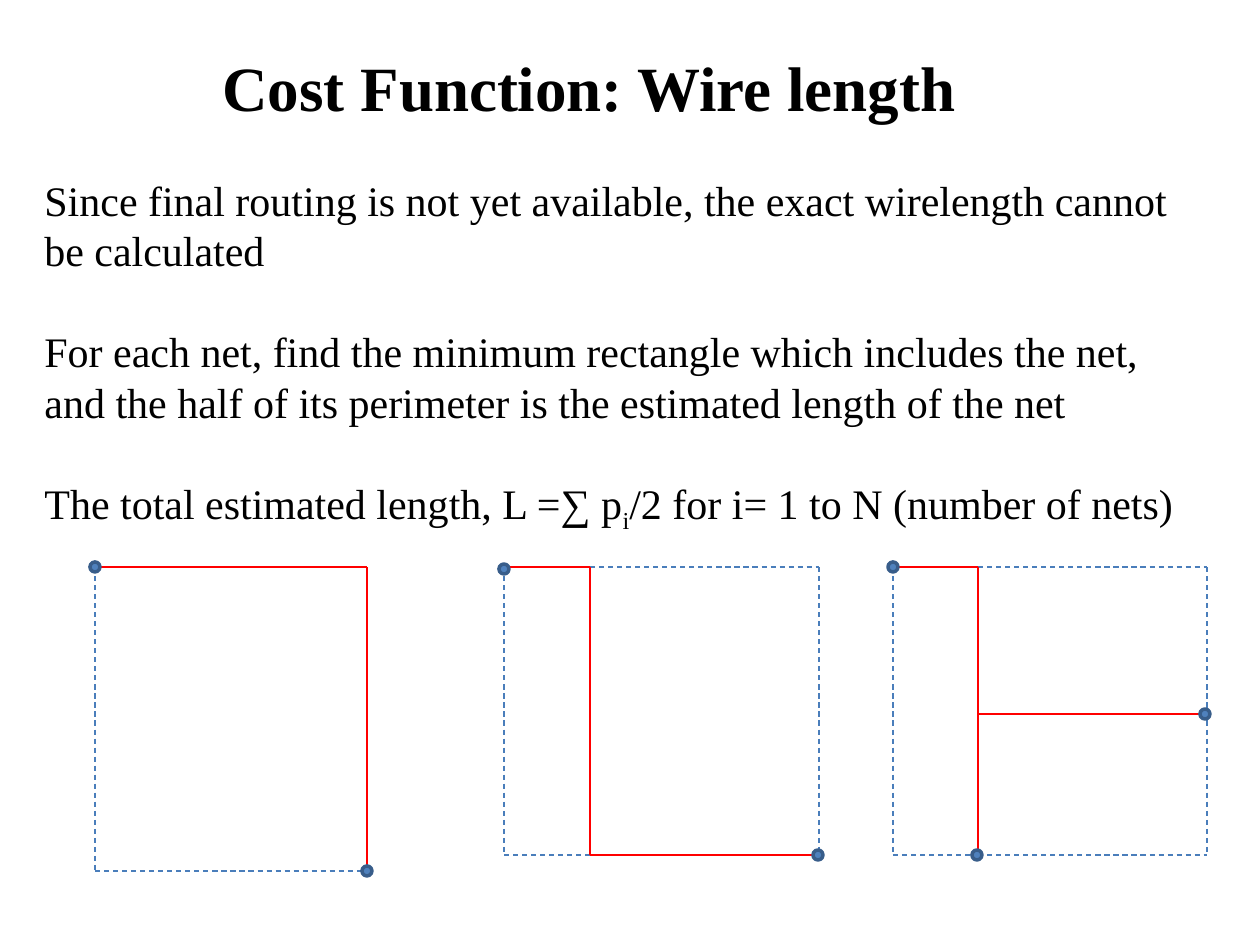
import pptx
import pptx.util
import pptx.dml.color
import pptx.enum.dml
import pptx.enum.shapes
import pptx.oxml

PX = 914400 / 126
FONT = "Times New Roman"
BLACK, RED, BLUE, DARK_BLUE = "000000", "FF0000", "4A7EBB", "385D8A"
PIN_FILL = "4F81BD"
PIN_SIZE = 10

# Each net: dashed bounding-box segments, red wire segments, pin centres
NETS = [
    ([(95, 567, 95, 871), (95, 871, 367, 871)],
     [(95, 567, 367, 567), (367, 567, 367, 871)],
     [(95, 567), (367, 871)]),
    ([(819, 567, 819, 855), (504, 567, 504, 855),
      (504, 855, 590, 855), (590, 567, 819, 567)],
     [(504, 567, 590, 567), (590, 567, 590, 855), (590, 855, 819, 855)],
     [(504, 569), (818, 855)]),
    ([(1207, 567, 1207, 855), (893, 567, 893, 855),
      (893, 855, 978, 855), (978, 567, 1207, 567), (978, 855, 1207, 855)],
     [(893, 567, 978, 567), (978, 567, 978, 855), (978, 714, 1207, 714)],
     [(977, 855), (1205, 714), (893, 567)]),
]


def px(n):
    return pptx.util.Emu(round(n * PX))


def color(hex_string):
    return pptx.dml.color.RGBColor.from_string(hex_string)


def add_text(s, box, paragraphs, size, bold=False, gap=0):
    """Add a text box; each paragraph is a list of (text, is_subscript) runs."""
    tf = s.shapes.add_textbox(*map(px, box)).text_frame
    tf.word_wrap = True
    for i, runs in enumerate(paragraphs):
        p = tf.paragraphs[0] if i == 0 else tf.add_paragraph()
        if i:
            p.space_before = pptx.util.Pt(gap)
        for text, subscript in runs:
            r = p.add_run()
            r.text = text
            r.font.name = FONT
            r.font.size = pptx.util.Pt(size)
            r.font.bold = bold
            r.font.color.rgb = color(BLACK)
            if subscript:
                r.font._element.set("baseline", "-25000")


def add_line(s, ends, line_color, dashed=False):
    sp = s.shapes.add_connector(
        pptx.enum.shapes.MSO_CONNECTOR.STRAIGHT, *map(px, ends))
    sp.line.color.rgb = color(line_color)
    sp.line.width = pptx.util.Pt(0.75)
    if dashed:
        sp.line.dash_style = pptx.enum.dml.MSO_LINE.DASH
    sp._element.spPr.append(pptx.oxml.parse_xml(
        '<a:effectLst xmlns:a='
        '"http://schemas.openxmlformats.org/drawingml/2006/main"/>'))


def add_pin(s, x, y):
    half = PIN_SIZE / 2
    sp = s.shapes.add_shape(
        pptx.enum.shapes.MSO_SHAPE.OVAL,
        px(x - half), px(y - half), px(PIN_SIZE), px(PIN_SIZE))
    sp.shadow.inherit = False
    sp.fill.solid()
    sp.fill.fore_color.rgb = color(PIN_FILL)
    sp.line.color.rgb = color(DARK_BLUE)
    sp.line.width = pptx.util.Pt(2)


def add_net(s, box_lines, wires, pins):
    for ends in box_lines:
        add_line(s, ends, BLUE, dashed=True)
    for ends in wires:
        add_line(s, ends, RED)
    for x, y in pins:
        add_pin(s, x, y)


def main():
    prs = pptx.Presentation()
    prs.slide_width, prs.slide_height = px(1260), px(945)
    s = prs.slides.add_slide(prs.slide_layouts[6])
    add_text(s, (210, 42, 861, 88),
             [[("Cost Function: Wire length", False)]], 36, bold=True)
    add_text(s, (32, 168, 1166, 373), [
        [("Since final routing is not yet available, the exact wirelength "
          "cannot be calculated", False)],
        [("For each net, find the minimum rectangle which includes the net, "
          "and the half of its perimeter is the estimated length of the net",
          False)],
        [("The total estimated length, L =∑ p", False), ("i", True),
         ("/2 for i= 1 to N (number of nets)", False)],
    ], 24, gap=29)
    for net in NETS:
        add_net(s, *net)
    prs.save("out.pptx")


if __name__ == "__main__":
    main()
